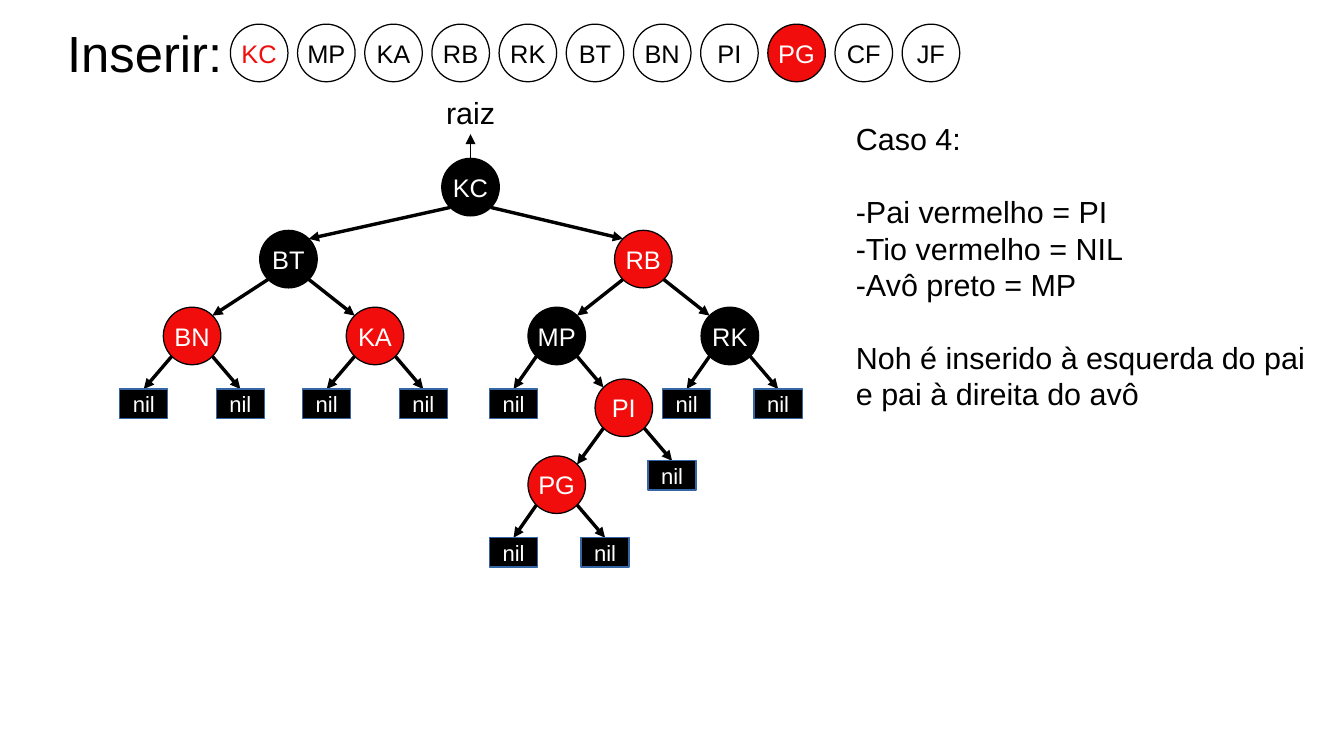
from lxml import etree
from pptx import Presentation
from pptx import util as u
from pptx.dml import color as dml
from pptx.enum import shapes, text
from pptx.oxml import ns

BLACK, WHITE, RED, BLUE = "000000", "FFFFFF", "F10D0C", "3465A4"
LEFT, CENTER = text.PP_ALIGN.LEFT, text.PP_ALIGN.CENTER
TOP, MIDDLE = text.MSO_ANCHOR.TOP, text.MSO_ANCHOR.MIDDLE
NODE, NIL_WIDTH, NIL_HEIGHT = 34, 28.4, 17.3
CORNER = 12


def rgb(value):
    return dml.RGBColor.from_string(value)


def write_text(shape, content, size=18, color=BLACK, align=LEFT, anchor=TOP,
               margins=(7.2, 3.6), spacing=None):
    frame = shape.text_frame
    frame.word_wrap = False
    frame.vertical_anchor = anchor
    frame.margin_left = frame.margin_right = u.Pt(margins[0])
    frame.margin_top = frame.margin_bottom = u.Pt(margins[1])
    frame.text = content
    for paragraph in frame.paragraphs:
        paragraph.alignment = align
        if spacing:
            paragraph.line_spacing = u.Pt(spacing)
        for run in paragraph.runs:
            run.font.name = "Arial"
            run.font.size = u.Pt(size)
            run.font.color.rgb = rgb(color)
    return frame.paragraphs


presentation = Presentation()
presentation.slide_width = u.Pt(793.44)
presentation.slide_height = u.Pt(446.4)
slide = presentation.slides.add_slide(presentation.slide_layouts[5])

title = slide.shapes.title
title.left, title.top = u.Pt(39.6), u.Pt(13.7)
title.width, title.height = u.Pt(96.5), u.Pt(33.8)
write_text(title, "Inserir:", size=30, anchor=MIDDLE, margins=(0, 0))

root_label = slide.shapes.add_textbox(u.Pt(256.3), u.Pt(51.8), u.Pt(43.2), u.Pt(27.4))
write_text(root_label, "raiz")

explanation = slide.shapes.add_textbox(u.Pt(498.2), u.Pt(67.7), u.Pt(279.4), u.Pt(168.5))
lines = ["Caso 4:", "-Pai vermelho = PI", "-Tio vermelho = NIL", "-Avô preto = MP",
         "Noh é inserido à esquerda do pai", "e pai à direita do avô"]
paragraphs = write_text(explanation, "\n".join(lines), spacing=21.5)
for index in (1, 4):
    paragraphs[index].space_before = u.Pt(21.5)

keys = ["KC", "MP", "KA", "RB", "RK", "BT", "BN", "PI", "PG", "CF", "JF"]
key_styles = {"KC": (WHITE, RED), "PG": (RED, WHITE)}
tree = {
    "KC": (277.8, 110.5, BLACK),
    "BT": (170.3, 153, BLACK),
    "RB": (379.8, 153, RED),
    "BN": (113.4, 198.4, RED),
    "KA": (221.4, 198.4, RED),
    "MP": (328.7, 198.4, BLACK),
    "RK": (430.9, 198.4, BLACK),
    "PI": (368.3, 240.8, RED),
    "PG": (328.7, 286.2, RED),
}
children = {"KC": ["BT", "RB"], "BT": ["BN", "KA"], "RB": ["MP", "RK"],
            "MP": ["PI"], "PI": ["PG"]}
nil_offsets = {"BN": [-28.5, 28.5], "KA": [-28.5, 28.5], "MP": [-25.5],
               "RK": [-25.5, 28.5], "PI": [28.5], "PG": [-25.5, 28.5]}

circles = []
for index, key in enumerate(keys):
    fill, font_color = key_styles.get(key, (WHITE, BLACK))
    circles.append((key, 153 + 39.66 * index, 31.3, fill, font_color))
for key, (x, y, fill) in tree.items():
    circles.append((key, x, y, fill, WHITE))

arrows = [(277.8, 93.5, 277.8, 79.2, 1)]
for parent, names in children.items():
    x, y, fill = tree[parent]
    for name in names:
        child_x, child_y, fill = tree[name]
        shift = CORNER if child_x > x else -CORNER
        arrows.append((x + shift, y + CORNER, child_x - shift, child_y - CORNER, 0))

nils = []
for parent, offsets in nil_offsets.items():
    x, y, fill = tree[parent]
    for offset in offsets:
        shift = CORNER if offset > 0 else -CORNER
        nil_top = y + 31.3
        arrows.append((x + shift, y + CORNER, x + offset, nil_top, 0))
        nils.append(("nil", x + offset, nil_top + NIL_HEIGHT / 2, BLACK, WHITE))

for start_x, start_y, end_x, end_y, width in arrows:
    arrow = slide.shapes.add_connector(
        shapes.MSO_CONNECTOR.STRAIGHT, u.Pt(start_x), u.Pt(start_y), u.Pt(end_x), u.Pt(end_y))
    arrow.line.color.rgb = rgb(BLACK)
    arrow.line.width = u.Pt(width)
    etree.SubElement(arrow.line._get_or_add_ln(), ns.qn("a:tailEnd"), type="triangle")
    etree.SubElement(arrow._element.spPr, ns.qn("a:effectLst"))

kinds = [
    (circles, shapes.MSO_SHAPE.OVAL, NODE, NODE, BLACK, 15),
    (nils, shapes.MSO_SHAPE.RECTANGLE, NIL_WIDTH, NIL_HEIGHT, BLUE, 13),
]
for items, kind, width, height, outline, size in kinds:
    for label, x, y, fill, font_color in items:
        shape = slide.shapes.add_shape(
            kind, u.Pt(x - width / 2), u.Pt(y - height / 2), u.Pt(width), u.Pt(height))
        shape.shadow.inherit = False
        shape.fill.solid()
        shape.fill.fore_color.rgb = rgb(fill)
        shape.line.color.rgb = rgb(outline)
        shape.line.width = u.Pt(0)
        write_text(shape, label, size=size, color=font_color, align=CENTER, anchor=MIDDLE)

presentation.save("out.pptx")
